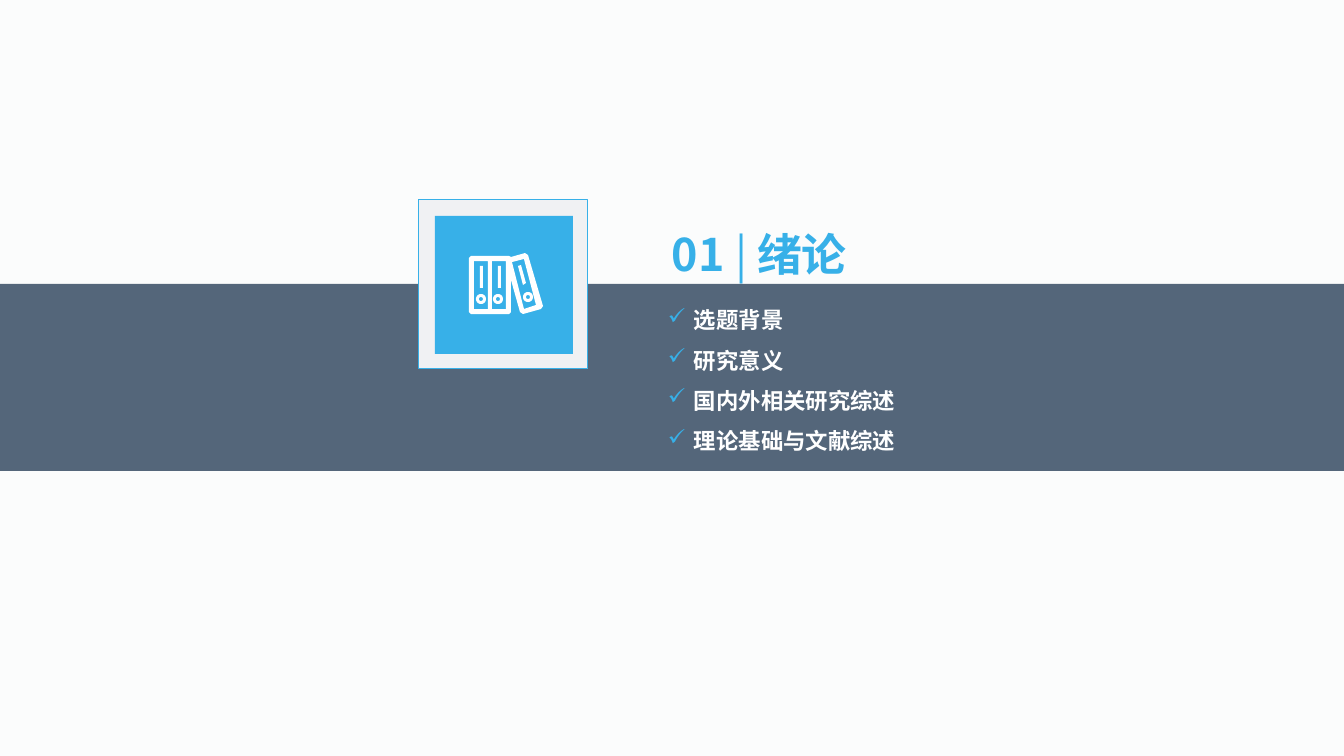
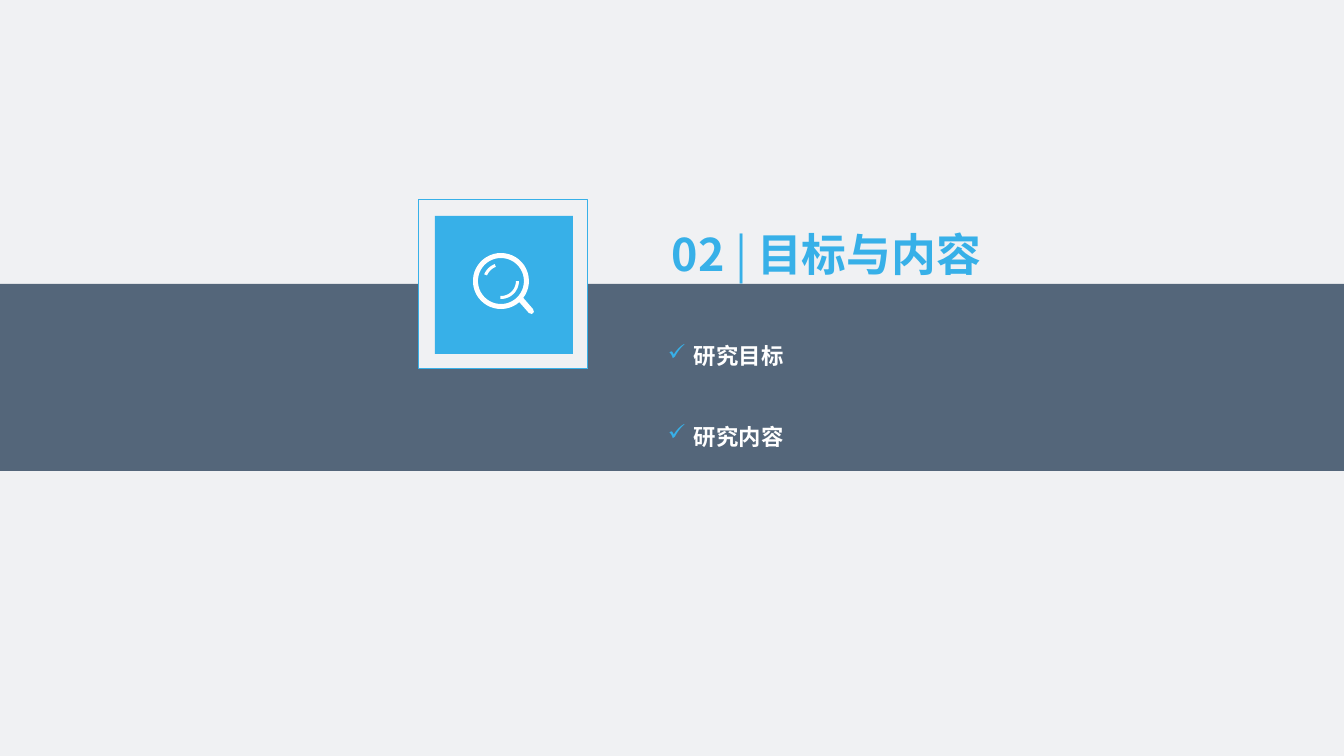
"""Build two chapter divider slides with a band, an icon tile, a title and a checklist."""
from math import cos, radians, sin

from lxml.etree import SubElement
from pptx import Presentation
from pptx.dml.color import RGBColor
from pptx.enum.shapes import MSO_SHAPE as Preset
from pptx.enum.text import MSO_ANCHOR as Anchor, MSO_AUTO_SIZE as AutoSize, PP_ALIGN as Align
from pptx.oxml.ns import qn
from pptx.util import Pt

PX = 6804
BLUE = RGBColor(0x37, 0xB0, 0xE8)
SLATE = RGBColor(0x54, 0x66, 0x7A)
PALE = RGBColor(0xF0, 0xF1, 0xF3)
NEAR_WHITE = RGBColor(0xFB, 0xFC, 0xFC)
WHITE = RGBColor(0xFF, 0xFF, 0xFF)
TITLE_FONT = "Noto Sans CJK SC"
BODY_FONT = "Roboto Condensed"


def write_text(shape, paragraphs, box, font, size, color, bullet=None, gap=0):
    """Place a shape and fill it with paragraphs of (text, bold) runs."""
    shape.left, shape.top, shape.width, shape.height = [value * PX for value in box]
    frame = shape.text_frame
    frame.word_wrap = True
    frame.auto_size = AutoSize.SHAPE_TO_FIT_TEXT
    frame.vertical_anchor = Anchor.TOP
    frame.margin_left = frame.margin_top = frame.margin_right = frame.margin_bottom = 0
    for index, runs in enumerate(paragraphs):
        paragraph = frame.add_paragraph() if index else frame.paragraphs[0]
        paragraph.alignment = Align.LEFT
        paragraph.line_spacing = 1.5
        paragraph.space_after = Pt(gap)
        if bullet:
            properties = paragraph._p.get_or_add_pPr()
            properties.set("marL", str(26 * PX))
            properties.set("indent", str(-26 * PX))
            bullet_color = SubElement(properties, qn("a:buClr"))
            SubElement(bullet_color, qn("a:srgbClr"), val=str(BLUE))
            SubElement(properties, qn("a:buChar"), char=bullet)
        for text, bold in runs:
            run = paragraph.add_run()
            run.text = text
            run.font.name, run.font.size, run.font.bold = font, Pt(size), bold
            run.font.color.rgb = color
            SubElement(run._r.get_or_add_rPr(), qn("a:ea"), typeface=font)


def arc(center, radius, start=0, end=360):
    """Return points along an arc, clockwise from start to end in degrees."""
    steps = max(8, round((end - start) / 8))
    angles = [radians(start + (end - start) * step / steps) for step in range(steps + 1)]
    return [(center[0] + radius * cos(angle), center[1] + radius * sin(angle)) for angle in angles]


binders = [
    [(471, 256), (509, 256), (511, 257), (525, 253), (528, 255), (543, 306),
     (541, 309), (523, 314), (520, 312), (511, 280), (511, 312), (509, 314),
     (471, 314), (469, 312), (469, 258)],
    [(512, 262), (524, 259), (536, 305), (524, 309)],
    [(518, 266), (521, 265), (526, 283), (523, 285)],
]
for left in (474, 492):
    for x, y, width, height in ((left, 261, 14, 48), (left + 6, 266, 3, 22)):
        binders.append([(x, y), (x + width, y), (x + width, y + height), (x, y + height)])
for ring_center in ((481, 299), (498, 299), (528, 297)):
    binders += [arc(ring_center, radius) for radius in (5, 2)]

lens = (501, 281)
magnifier = [
    arc(lens, 28, 49, 397) + [(533, 309), (534, 312), (532, 314), (529, 313)],
    arc(lens, 23),
]
for start, end in ((202, 250), (0, 92)):
    magnifier.append(arc(lens, 18, start, end) + arc(lens, 15, start, end)[::-1])

chapters = [
    ("01 ", "绪论", NEAR_WHITE, binders, 293, 0,
     ["选题背景", "研究意义", "国内外相关研究综述", "理论基础与文献综述"]),
    ("02 ", "目标与内容", PALE, magnifier, 329, 21.6, ["研究目标", "研究内容"]),
]

presentation = Presentation()
presentation.slide_width, presentation.slide_height = 1344 * PX, 756 * PX

for number, name, background, icon, list_top, gap, topics in chapters:
    slide = presentation.slides.add_slide(presentation.slide_layouts[5])
    slide.background.fill.solid()
    slide.background.fill.fore_color.rgb = background

    for box, color, outline in (
        ((0, 284, 1344, 187), SLATE, None),
        ((419, 200, 169, 169), PALE, BLUE),
        ((435, 216, 138, 138), BLUE, None),
    ):
        shape = slide.shapes.add_shape(Preset.RECTANGLE, *[value * PX for value in box])
        shape.shadow.inherit = False
        shape.fill.solid()
        shape.fill.fore_color.rgb = color
        if outline:
            shape.line.color.rgb = outline
            shape.line.width = Pt(0.5)
        else:
            shape.line.fill.background()

    contours = [[(x * PX, y * PX) for x, y in contour] for contour in icon]
    builder = slide.shapes.build_freeform(*contours[0][0])
    builder.add_line_segments(contours[0][1:])
    for contour in contours[1:]:
        builder.move_to(*contour[0])
        builder.add_line_segments(contour[1:])
    drawing = builder.convert_to_shape()
    drawing.shadow.inherit = False
    drawing.fill.solid()
    drawing.fill.fore_color.rgb = WHITE
    drawing.line.fill.background()

    write_text(slide.shapes.title, [[(number, True), ("| ", False), (name, True)]],
               (672, 200, 349, 82), TITLE_FONT, 24, BLUE)
    write_text(slide.shapes.add_textbox(0, 0, 0, 0), [[(topic, True)] for topic in topics],
               (668, list_top, 237, 40 * len(topics)), BODY_FONT, 12, WHITE,
               bullet="✓", gap=gap)

presentation.save("out.pptx")
